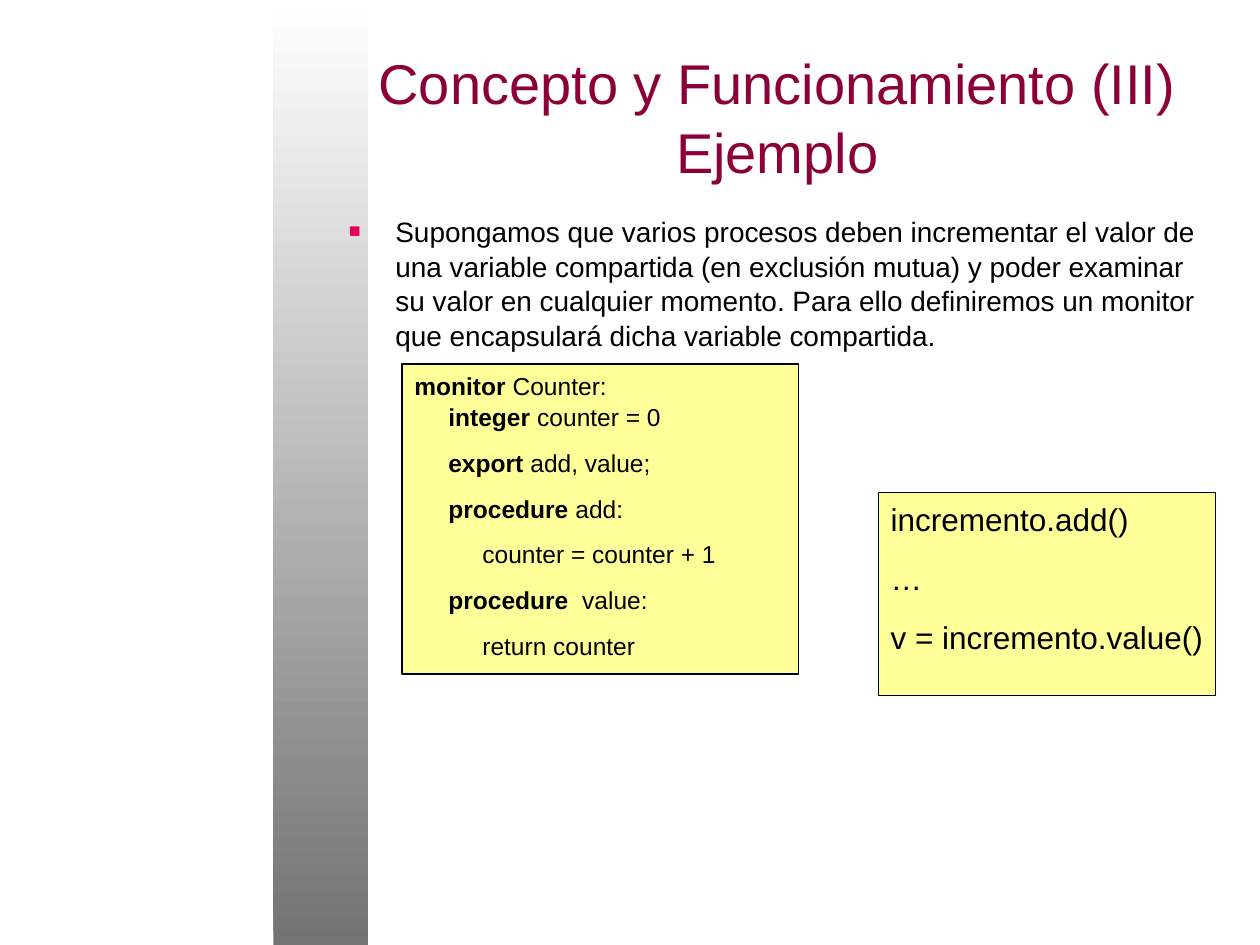
import pptx
import pptx.util
import pptx.dml.color
import pptx.enum.shapes
import pptx.enum.text
import pptx.oxml.ns
import lxml.etree

Inches, Pt = pptx.util.Inches, pptx.util.Pt
RGBColor = pptx.dml.color.RGBColor
RECT = pptx.enum.shapes.MSO_SHAPE.RECTANGLE
ALIGN = pptx.enum.text.PP_ALIGN
ANCHOR = pptx.enum.text.MSO_ANCHOR

BLACK = RGBColor(0x00, 0x00, 0x00)
WHITE = RGBColor(0xFF, 0xFF, 0xFF)
GRAY = RGBColor(0x73, 0x73, 0x73)
WINE = RGBColor(0x8C, 0x00, 0x39)
YELLOW = RGBColor(0xFF, 0xFF, 0x99)
PINK = "E4005C"


def add_run(para, text, size, color=BLACK, bold=False):
    run = para.add_run()
    run.text = text
    run.font.name = "Arial"
    run.font.size = Pt(size)
    run.font.bold = bold
    run.font.color.rgb = color


deck = pptx.Presentation()
deck.slide_width, deck.slide_height = Inches(10), Inches(7.5)
slide = deck.slides.add_slide(deck.slide_layouts[6])
shapes = slide.shapes

# Gradient band, gray at the bottom and white at the top
band = shapes.add_shape(RECT, Inches(2.17), 0, Inches(0.75), Inches(7.5))
band.shadow.inherit = False
band.line.fill.background()
band.fill.gradient()
band.fill.gradient_angle = 90
for stop, color in zip(band.fill.gradient_stops, (GRAY, WHITE)):
    stop.color.rgb = color

# Title
title = shapes.add_textbox(Inches(2.67), Inches(0.25), Inches(7), Inches(1.33))
frame = title.text_frame
frame.word_wrap = True
frame.vertical_anchor = ANCHOR.MIDDLE
para = frame.paragraphs[0]
para.alignment = ALIGN.CENTER
para.line_spacing = 1.04
add_run(para, "Concepto y Funcionamiento (III)", 32, WINE)
para.add_line_break()
add_run(para, "Ejemplo", 32, WINE)

# Bulleted statement
body = shapes.add_textbox(Inches(2.67), Inches(1.64), Inches(7), Inches(1.37))
frame = body.text_frame
frame.word_wrap = True
para = frame.paragraphs[0]
para.line_spacing = 1.04
props = para._p.get_or_add_pPr()
props.set("marL", str(Inches(0.37)))
props.set("indent", str(-Inches(0.37)))
qn = pptx.oxml.ns.qn
tint = lxml.etree.SubElement(props, qn("a:buClr"))
lxml.etree.SubElement(tint, qn("a:srgbClr"), val=PINK)
lxml.etree.SubElement(props, qn("a:buSzPct"), val="70000")
lxml.etree.SubElement(props, qn("a:buFont"), typeface="Arial")
lxml.etree.SubElement(props, qn("a:buChar"), char="■")
add_run(para, "Supongamos que varios procesos deben incrementar el valor de una "
        "variable compartida (en exclusión mutua) y poder examinar su valor en "
        "cualquier momento. Para ello definiremos un monitor que encapsulará "
        "dicha variable compartida.", 16)

# Code boxes: place, text size, gap, lines as (space before?, bold, plain)
boxes = [
    ((3.19, 2.89, 3.15, 2.46), 14, 8.7, [
        (False, "monitor ", "Counter:"),
        (False, "     integer ", "counter = 0"),
        (True, "     export", " add, value;"),
        (True, "     procedure", " add:"),
        (True, "", "          counter = counter + 1"),
        (True, "     procedure", "  value:"),
        (True, "", "          return counter"),
    ]),
    ((6.97, 3.91, 2.68, 1.61), 18, 11.2, [
        (False, "", "incremento.add()"),
        (True, "", "…"),
        (True, "", "v = incremento.value()"),
    ]),
]
for place, size, gap, lines in boxes:
    box = shapes.add_shape(RECT, *[Inches(v) for v in place])
    box.shadow.inherit = False
    box.fill.solid()
    box.fill.fore_color.rgb = YELLOW
    box.line.color.rgb = BLACK
    box.line.width = Pt(0.75)
    frame = box.text_frame
    frame.word_wrap = True
    frame.vertical_anchor = ANCHOR.TOP
    for i, (space, bold, plain) in enumerate(lines):
        para = frame.add_paragraph() if i else frame.paragraphs[0]
        para.alignment = ALIGN.LEFT
        para.line_spacing = 1.04
        if space:
            para.space_before = Pt(gap)
        if bold:
            add_run(para, bold, size, bold=True)
        add_run(para, plain, size)

deck.save("out.pptx")
